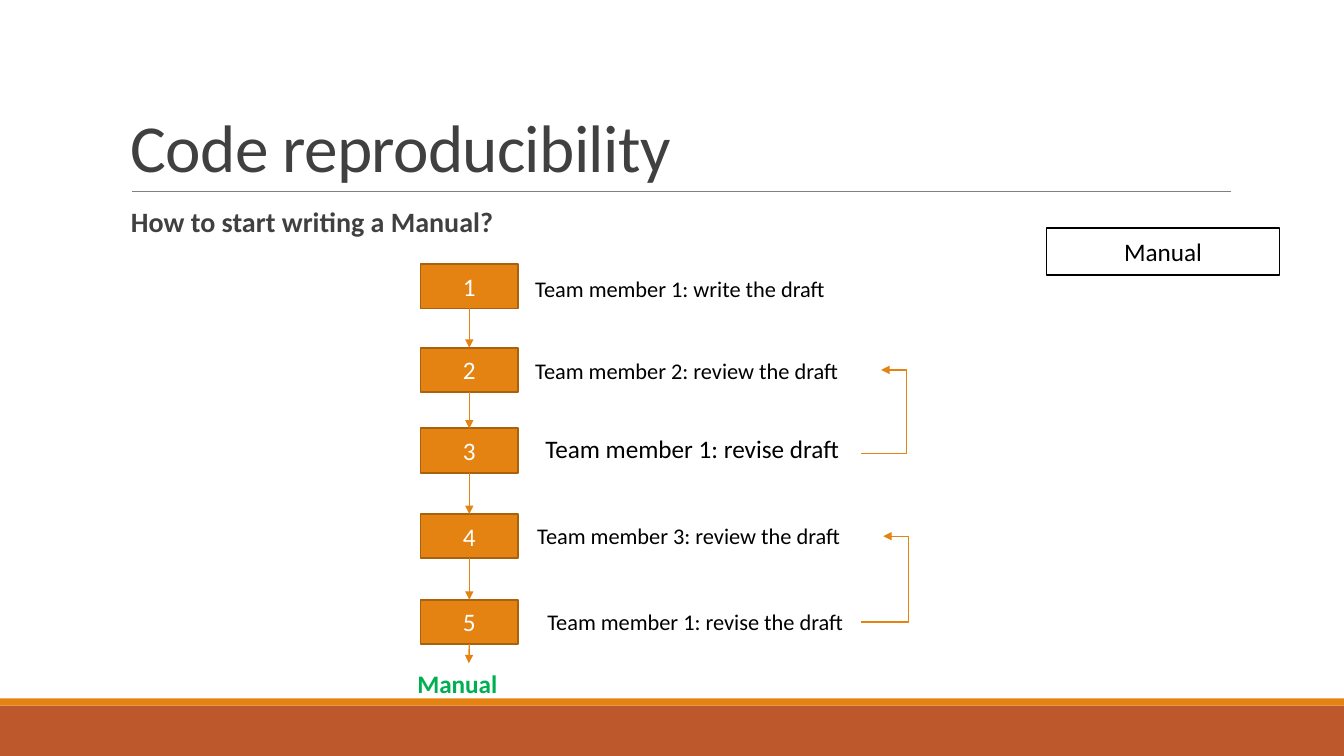
from lxml import etree
from pptx import Presentation
from pptx.dml.color import RGBColor
from pptx.enum.shapes import MSO_CONNECTOR, MSO_SHAPE
from pptx.enum.text import MSO_ANCHOR, PP_ALIGN
from pptx.oxml.ns import qn
from pptx.util import Inches, Pt

RECT = MSO_SHAPE.RECTANGLE
STRAIGHT, ELBOW = MSO_CONNECTOR.STRAIGHT, MSO_CONNECTOR.ELBOW
TOP, MIDDLE, BOTTOM = MSO_ANCHOR.TOP, MSO_ANCHOR.MIDDLE, MSO_ANCHOR.BOTTOM
LEFT, CENTER = PP_ALIGN.LEFT, PP_ALIGN.CENTER

ORANGE = RGBColor(0xE4, 0x83, 0x12)
BROWN = RGBColor(0xA9, 0x61, 0x0D)
RUST = RGBColor(0xBD, 0x58, 0x2C)
GREY = RGBColor(0x80, 0x80, 0x80)
DARK = RGBColor(0x40, 0x40, 0x40)
GREEN = RGBColor(0x00, 0xB0, 0x50)
BLACK = RGBColor(0x00, 0x00, 0x00)
WHITE = RGBColor(0xFF, 0xFF, 0xFF)

prs = Presentation()
prs.slide_width, prs.slide_height = Inches(13.33), Inches(7.5)
s = prs.slides.add_slide(prs.slide_layouts[6])


def add_box(text, x, y, w, h, fill=None, line=None, size=16, color=BLACK,
            bold=False, align=LEFT, anchor=TOP, spacing=1.0, tracking=0):
    if fill is None:
        sp = s.shapes.add_textbox(Inches(x), Inches(y), Inches(w), Inches(h))
    else:
        sp = s.shapes.add_shape(RECT, Inches(x), Inches(y), Inches(w), Inches(h))
        sp.shadow.inherit = False
        sp.fill.solid()
        sp.fill.fore_color.rgb = fill
        if line is None:
            sp.line.fill.background()
        else:
            sp.line.color.rgb = line
            sp.line.width = Pt(1.25)
    if text:
        tf = sp.text_frame
        tf.word_wrap = True
        tf.vertical_anchor = anchor
        p = tf.paragraphs[0]
        p.alignment = align
        p.line_spacing = spacing
        r = p.add_run()
        r.text = text
        r.font.name = "Calibri"
        r.font.size = Pt(size)
        r.font.bold = bold
        r.font.color.rgb = color
        if tracking:
            r._r.get_or_add_rPr().set("spc", str(tracking))
    return sp


def add_line(x1, y1, x2, y2, kind=STRAIGHT, color=ORANGE, width=1, arrow=True):
    c = s.shapes.add_connector(kind, Inches(x1), Inches(y1), Inches(x2), Inches(y2))
    c.line.color.rgb = color
    c.line.width = Pt(width)
    if arrow:
        etree.SubElement(c.line._get_or_add_ln(), qn("a:tailEnd"), type="triangle")
    etree.SubElement(c._element.spPr, qn("a:effectLst"))
    return c


add_box("", 0, 7, 13.33, 0.5, fill=RUST)
add_box("", 0, 6.93, 13.33, 0.07, fill=ORANGE)
add_line(1.31, 1.9, 12.21, 1.9, color=GREY, width=0.5, arrow=False)

add_box("Code reproducibility", 1.2, 0.31, 11, 1.59, size=48, color=DARK,
        anchor=BOTTOM, spacing=0.85, tracking=-50)
add_box("How to start writing a Manual?", 1.2, 2.02, 11, 4.4, size=20, color=DARK,
        bold=True, spacing=0.9)
add_box("Manual", 10.38, 2.26, 2.31, 0.47, fill=WHITE, line=BLACK, size=18,
        align=CENTER, anchor=MIDDLE)

steps = [
    (2.62, "Team member 1: write the draft", 5.21, 2.68, 3.19, 16),
    (3.45, "Team member 2: review the draft", 5.21, 3.49, 3.53, 16),
    (4.25, "Team member 1: revise draft", 5.31, 4.25, 6.67, 18),
    (5.1, "Team member 3: review the draft", 5.23, 5.13, 3.53, 16),
    (5.95, "Team member 1: revise the draft", 5.33, 5.98, 3.19, 16),
]
previous = None
for number, (top, task, x, y, w, size) in enumerate(steps, 1):
    step = add_box(str(number), 4.17, top, 0.97, 0.44, fill=ORANGE, line=BROWN,
                   size=18, color=WHITE, align=CENTER, anchor=MIDDLE)
    add_box(task, x, y, w, 0.4 if size == 18 else 0.37, size=size)
    if previous is not None:
        arrow = add_line(4.65, top - 0.4, 4.65, top)
        arrow.begin_connect(previous, 2)
        arrow.end_connect(step, 0)
    previous = step

add_box("Manual", 4.04, 6.58, 1.21, 0.4, size=18, color=GREEN, bold=True)
add_line(4.65, 6.39, 4.65, 6.58).begin_connect(previous, 2)

for y1, x2, y2, bend in [(4.5, 8.74, 3.67, 8.99), (6.17, 8.76, 5.32, 9.01)]:
    loop = add_line(8.54, y1, x2, y2, kind=ELBOW)
    guides = loop._element.spPr.find(qn("a:prstGeom")).find(qn("a:avLst"))
    share = round((bend - 8.54) / (x2 - 8.54) * 100000)
    etree.SubElement(guides, qn("a:gd"), name="adj1", fmla=f"val {share}")

prs.save("out.pptx")
